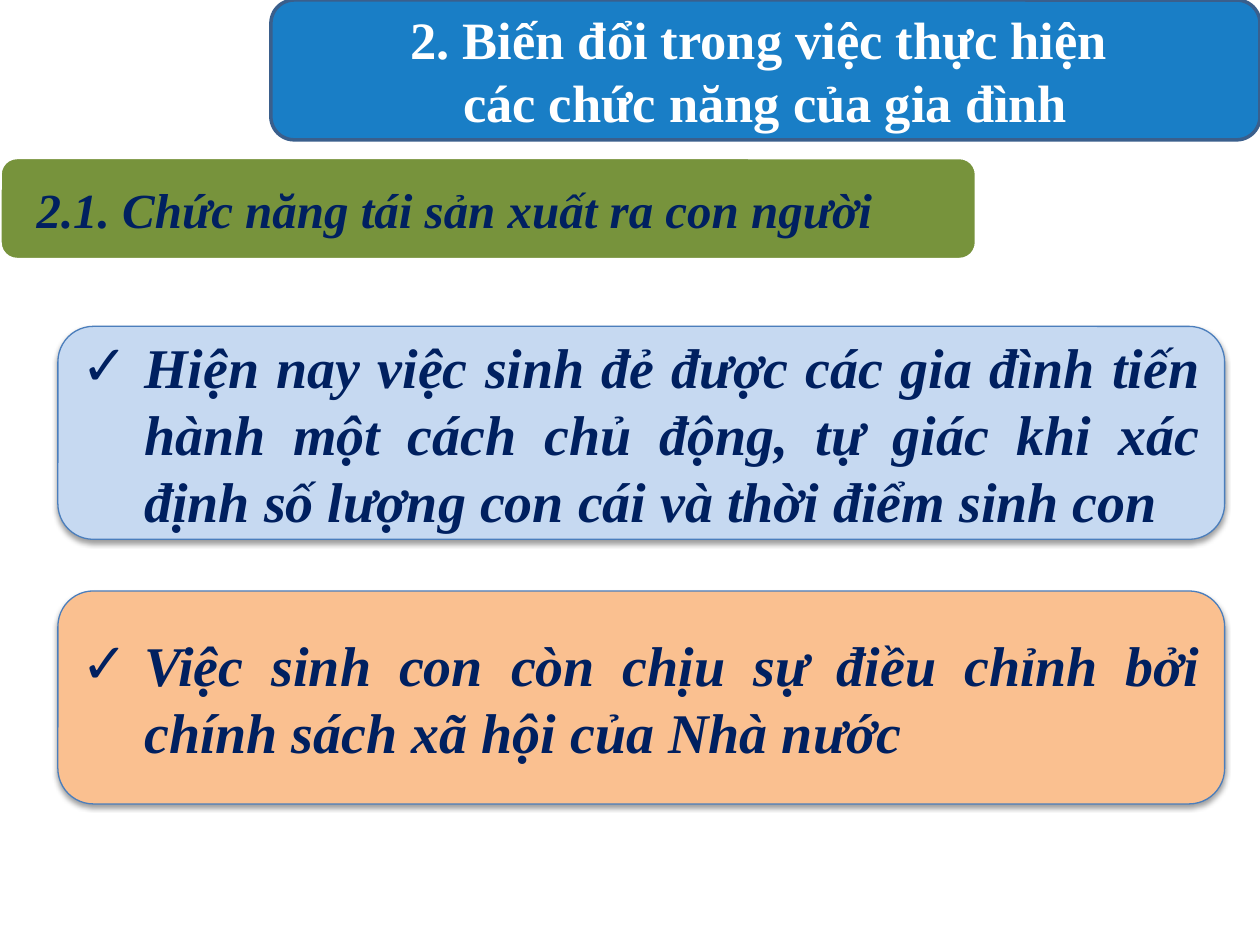
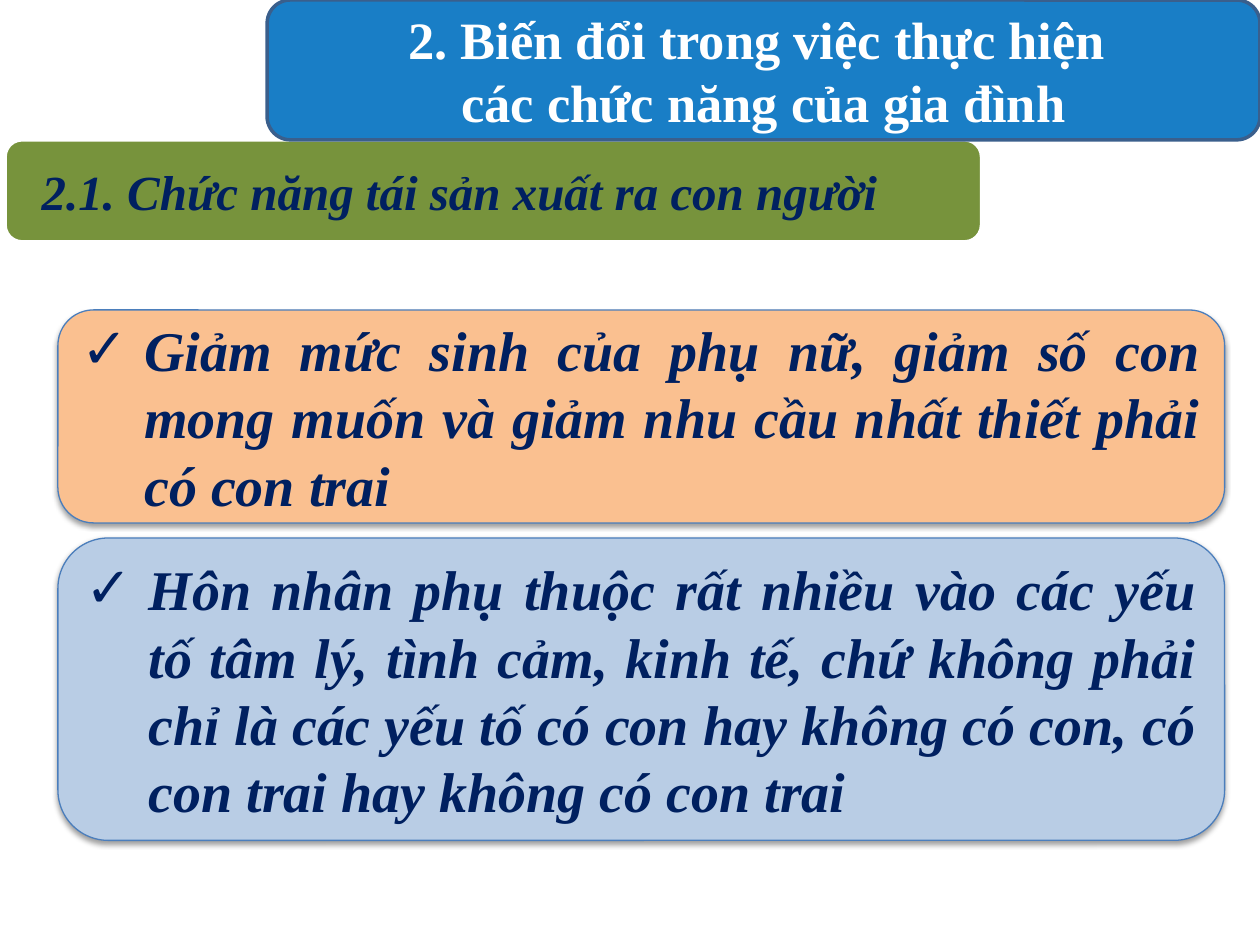
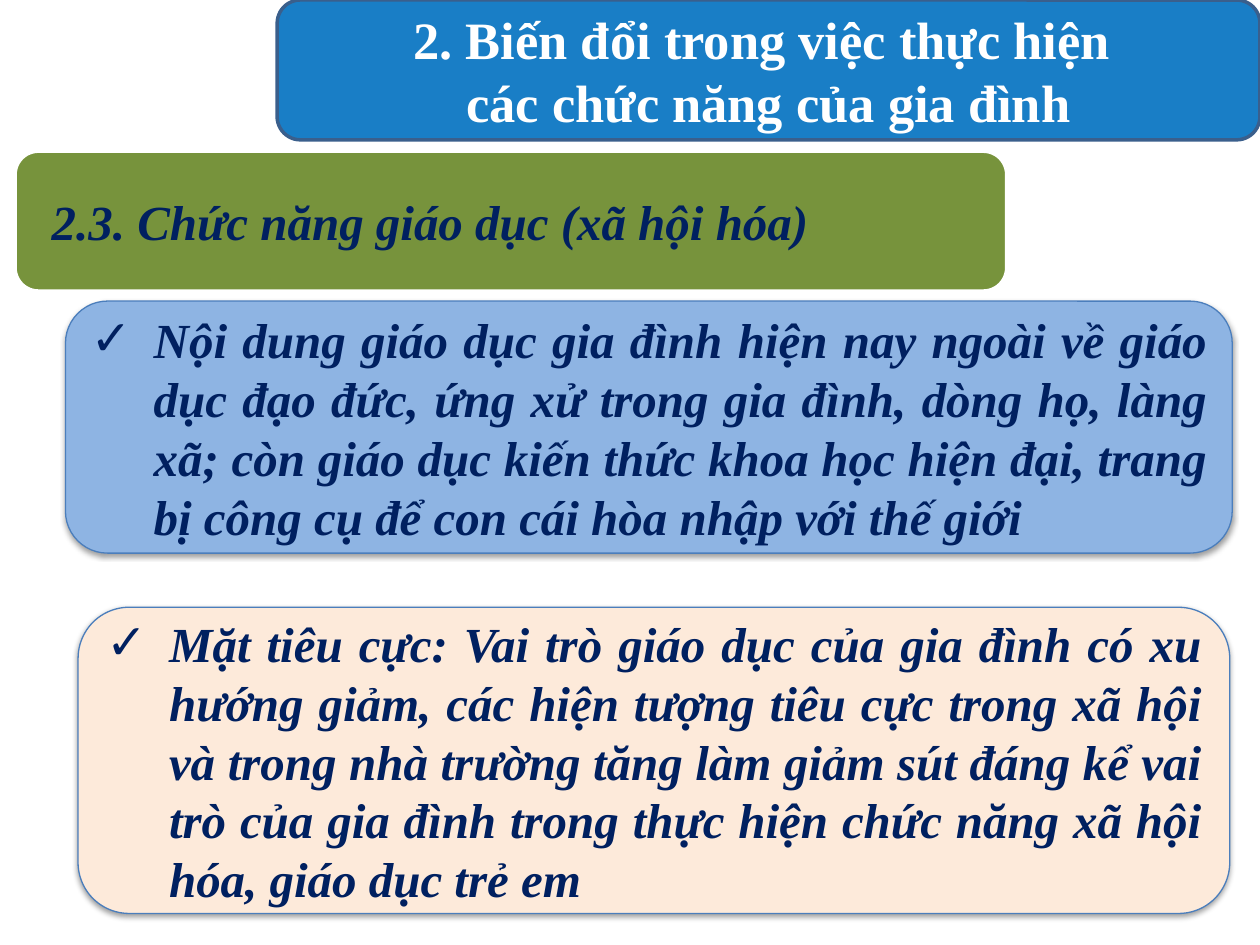
from collections import namedtuple

from lxml import etree
from pptx import Presentation
from pptx import util as u
from pptx.dml import color
from pptx.enum import shapes, text
from pptx.oxml import ns

COLS, ROWS = 100, 75
FONT = "Times New Roman"
NAVY, WHITE, GREEN = "002060", "FFFFFF", "77933C"
TITLE_FILL, TITLE_LINE, PANEL_LINE = "0070C0", "3A5F8C", "4B7EBC"
SKY, ORANGE, STEEL, BLUE, PEACH = "C6D9F1", "FAC090", "B9CDE5", "8EB4E3", "FDEADA"
TITLE = "2. Biến đổi trong việc thực hiện \ncác chức năng của gia đình"
TITLE_HEIGHT = 11.1
BAND_INSET = 0.5
CORNER_INSET = 0.05

Box = namedtuple("Box", "left top width height")
Panel = namedtuple("Panel", "box fill words")

prs = Presentation()
prs.slide_width, prs.slide_height = u.Inches(10), u.Inches(7.5)
COL, ROW = prs.slide_width / COLS, prs.slide_height / ROWS


def rgb(value):
    return color.RGBColor.from_string(value)


def place(box):
    return [round(n * size) for n, size in zip(box, (COL, ROW, COL, ROW))]


def add_xml(parent, tag, **attrs):
    return etree.SubElement(parent, ns.qn(tag), attrs)


def rounded(owner, box, fill, line, weight):
    sp = owner.add_shape(shapes.MSO_SHAPE.ROUNDED_RECTANGLE, *place(box))
    sp.shadow.inherit = False
    sp.fill.solid()
    sp.fill.fore_color.rgb = rgb(fill)
    sp.line.color.rgb = rgb(line)
    sp.line.width = u.Pt(weight)
    return sp


def write(sp, words, size, tone, align, side, italic=False):
    tf = sp.text_frame
    tf.text = words
    tf.word_wrap = True
    tf.auto_size = text.MSO_AUTO_SIZE.NONE
    tf.vertical_anchor = text.MSO_ANCHOR.MIDDLE
    tf.margin_left = tf.margin_right = round(side * COL)
    tf.margin_top = tf.margin_bottom = 0
    for p in tf.paragraphs:
        p.alignment = align
        p.space_before = u.Pt(0)
        for r in p.runs:
            r.font.name, r.font.size = FONT, u.Pt(size)
            r.font.bold, r.font.italic = True, italic
            r.font.color.rgb = rgb(tone)


def put_placeholder(s, sp, box):
    s.shapes.element.append(sp.element)
    sp.left, sp.top, sp.width, sp.height = place(box)


def add_title(s, left):
    box = Box(left, 0, COLS - left, TITLE_HEIGHT)
    sp = rounded(s.shapes, box, TITLE_FILL, TITLE_LINE, 2)
    tint = sp.element.spPr.find(ns.qn("a:solidFill"))[0]
    add_xml(tint, "a:alpha", val="90000")
    put_placeholder(s, s.shapes.title, box)
    write(s.shapes.title, TITLE, 30, WHITE, text.PP_ALIGN.CENTER, 1)


def add_band(s, box, words):
    group = s.shapes.add_group_shape().shapes
    rounded(group, box, GREEN, WHITE, 2)
    inner = Box(box.left + BAND_INSET, box.top + BAND_INSET,
                box.width - 2 * BAND_INSET, box.height - 2 * BAND_INSET)
    label = group.add_textbox(*place(inner))
    write(label, words, 28, NAVY, text.PP_ALIGN.JUSTIFY, 2.4, True)


def add_panel(s, sp, panel, size):
    back = rounded(s.shapes, panel.box, panel.fill, PANEL_LINE, 0.75)
    effects = back.element.spPr.find(ns.qn("a:effectLst"))
    shadow = add_xml(effects, "a:outerShdw", blurRad="40000", dist="20000",
                     dir="5400000", rotWithShape="0")
    add_xml(add_xml(shadow, "a:srgbClr", val="000000"), "a:alpha", val="38000")
    put_placeholder(s, sp, panel.box)
    write(sp, panel.words, size, NAVY, text.PP_ALIGN.JUSTIFY,
          1 + CORNER_INSET * panel.box.height, True)
    pPr = sp.text_frame.paragraphs[0]._p.get_or_add_pPr()
    pPr.set("marL", str(u.Inches(0.5)))
    pPr.set("indent", str(-u.Inches(0.5)))
    add_xml(pPr, "a:buChar", char="✓")


def add_function_slide(title_left, band_box, band_words, size, panels):
    s = prs.slides.add_slide(prs.slide_layouts[3])
    bodies = [sp for sp in s.placeholders if sp.placeholder_format.idx in (1, 2)]
    add_band(s, band_box, band_words)
    add_title(s, title_left)
    for sp, panel in zip(bodies, panels):
        add_panel(s, sp, panel, size)


REPRODUCTION = "2.1. Chức năng tái sản xuất ra con người"
EDUCATION = "2.3. Chức năng giáo dục (xã hội hóa)"

add_function_slide(21.5, Box(0, 12.5, 77.5, 8.1), REPRODUCTION, 32, [
    Panel(Box(4.6, 25.9, 92.6, 16.9), SKY,
          "Hiện nay việc sinh đẻ được các gia đình tiến hành một cách chủ động, "
          "tự giác khi xác định số lượng con cái và thời điểm sinh con"),
    Panel(Box(4.6, 46.9, 92.6, 16.9), ORANGE,
          "Việc sinh con còn chịu sự điều chỉnh bởi chính sách xã hội của Nhà nước"),
])
add_function_slide(21.2, Box(0.4, 11.1, 77.5, 8.1), REPRODUCTION, 32, [
    Panel(Box(4.6, 24.6, 92.6, 16.9), ORANGE,
          "Giảm mức sinh của phụ nữ, giảm số con mong muốn và giảm nhu cầu "
          "nhất thiết phải có con trai"),
    Panel(Box(4.6, 42.7, 92.6, 24), STEEL,
          "Hôn nhân phụ thuộc rất nhiều vào các yếu tố tâm lý, tình cảm, kinh tế, "
          "chứ không phải chỉ là các yếu tố có con hay không có con, "
          "có con trai hay không có con trai"),
])
add_function_slide(22, Box(1.2, 12, 78.7, 11.1), EDUCATION, 28, [
    Panel(Box(5.2, 23.9, 92.6, 20), BLUE,
          "Nội dung giáo dục gia đình hiện nay ngoài về giáo dục đạo đức, ứng xử "
          "trong gia đình, dòng họ, làng xã; còn giáo dục kiến thức khoa học "
          "hiện đại, trang bị công cụ để con cái hòa nhập với thế giới"),
    Panel(Box(6.2, 48.2, 91.4, 24.3), PEACH,
          "Mặt tiêu cực: Vai trò giáo dục của gia đình có xu hướng giảm, các hiện "
          "tượng tiêu cực trong xã hội và trong nhà trường tăng làm giảm sút đáng kể "
          "vai trò của gia đình trong thực hiện chức năng xã hội hóa, giáo dục trẻ em"),
])

prs.save("out.pptx")
